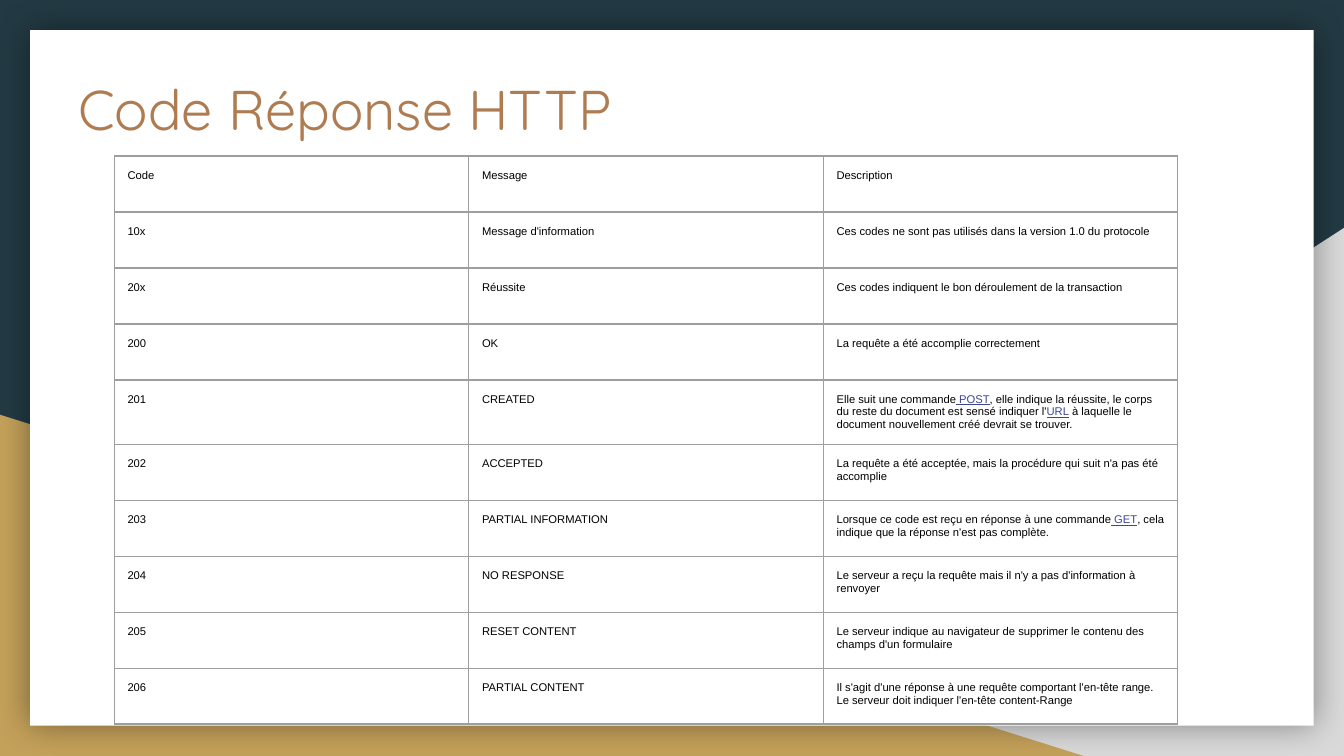
import dataclasses

import lxml.etree
import pptx
import pptx.dml.color
import pptx.enum.shapes
import pptx.enum.text
import pptx.oxml.ns
import pptx.util

Cm = pptx.util.Cm
Pt = pptx.util.Pt
qn = pptx.oxml.ns.qn


@dataclasses.dataclass(frozen=True)
class Theme:
    night: str = "233A44"
    grey: str = "D9D9D9"
    gold: str = "C4A15A"
    card: str = "FFFFFF"
    shade: str = "000000"
    title: str = "AF7B51"
    ink: str = "000000"
    link: str = "3D4594"
    rule: str = "9E9E9E"
    head_font: str = "Quicksand"
    cell_font: str = "Arial"
    head_size: float = 30
    cell_size: float = 6
    rule_width: float = 0.75


@dataclasses.dataclass(frozen=True)
class Box:
    left: float
    top: float
    width: float
    height: float

    def lengths(self):
        return [Cm(v) for v in (self.left, self.top, self.width, self.height)]


THEME = Theme()
PAGE = Box(0, 0, 25.4, 14.29)
INSET = 0.25

ROWS = [
    ("Code", "Message", ["Description"]),
    ("10x", "Message d'information",
     ["Ces codes ne sont pas utilisés dans la version 1.0 du protocole"]),
    ("20x", "Réussite", ["Ces codes indiquent le bon déroulement de la transaction"]),
    ("200", "OK", ["La requête a été accomplie correctement"]),
    ("201", "CREATED",
     ["Elle suit une commande", " POST",
      ", elle indique la réussite, le corps du reste du document est sensé indiquer l'",
      "URL", " à laquelle le document nouvellement créé devrait se trouver."]),
    ("202", "ACCEPTED",
     ["La requête a été acceptée, mais la procédure qui suit n'a pas été accomplie"]),
    ("203", "PARTIAL INFORMATION",
     ["Lorsque ce code est reçu en réponse à une commande", " GET",
      ", cela indique que la réponse n'est pas complète."]),
    ("204", "NO RESPONSE",
     ["Le serveur a reçu la requête mais il n'y a pas d'information à renvoyer"]),
    ("205", "RESET CONTENT",
     ["Le serveur indique au navigateur de supprimer le contenu des champs d'un formulaire"]),
    ("206", "PARTIAL CONTENT",
     ["Il s'agit d'une réponse à une requête comportant l'en-tête range. "
      "Le serveur doit indiquer l'en-tête content-Range"]),
]


def paint(fill, tone):
    fill.solid()
    fill.fore_color.rgb = pptx.dml.color.RGBColor.from_string(tone)


def add_run(para, text, font, size, tone, line=False):
    run = para.add_run()
    run.text = text
    run.font.name = font
    run.font.size = Pt(size)
    run.font.color.rgb = pptx.dml.color.RGBColor.from_string(tone)
    if line:
        run.font.underline = True


def add_form(slide, kind, box, tone):
    form = slide.shapes.add_shape(kind, *box.lengths())
    form.shadow.inherit = False
    paint(form.fill, tone)
    form.line.fill.background()
    return form


def add_glow(form, blur, tone, alpha):
    effects = form._element.spPr.find(qn("a:effectLst"))
    glow = lxml.etree.SubElement(
        effects, qn("a:outerShdw"), blurRad=str(Pt(blur)), dist="0",
        algn="ctr", rotWithShape="0")
    color = lxml.etree.SubElement(glow, qn("a:srgbClr"), val=tone)
    lxml.etree.SubElement(color, qn("a:alpha"), val=str(alpha * 1000))


def draw_back(slide, box):
    kinds = pptx.enum.shapes.MSO_SHAPE
    paint(slide.background.fill, THEME.night)
    right = box.left + box.width
    base = box.top + box.height
    wide, high = 15.44, 9.98
    wedge = add_form(slide, kinds.RIGHT_TRIANGLE,
                     Box(right - wide, base - high, wide, high), THEME.grey)
    wedge._element.spPr.xfrm.set("flipH", "1")
    wide, high = 20.48, 6.45
    add_form(slide, kinds.RIGHT_TRIANGLE,
             Box(box.left, base - high, wide, high), THEME.gold)
    edge = 0.57
    card = add_form(slide, kinds.RECTANGLE,
                    Box(box.left + edge, box.top + edge,
                        box.width - 2 * edge, box.height - 2 * edge), THEME.card)
    add_glow(card, 18, THEME.shade, 40)


def draw_title(slide, box, text):
    title = slide.shapes.title
    slide.shapes._spTree.append(title._element)
    title.left, title.top, title.width, title.height = box.lengths()
    frame = title.text_frame
    frame.margin_left = frame.margin_right = Cm(INSET)
    frame.margin_top = frame.margin_bottom = Cm(INSET)
    frame.vertical_anchor = pptx.enum.text.MSO_ANCHOR.TOP
    frame.auto_size = pptx.enum.text.MSO_AUTO_SIZE.NONE
    frame.word_wrap = True
    para = frame.paragraphs[0]
    para.alignment = pptx.enum.text.PP_ALIGN.LEFT
    add_run(para, text, THEME.head_font, THEME.head_size, THEME.title)


def add_rules(cell):
    props = cell._tc.get_or_add_tcPr()
    for side in ("lnL", "lnR", "lnT", "lnB"):
        rule = lxml.etree.SubElement(
            props, qn("a:" + side), w=str(Pt(THEME.rule_width)))
        fill = lxml.etree.SubElement(rule, qn("a:solidFill"))
        lxml.etree.SubElement(fill, qn("a:srgbClr"), val=THEME.rule)


def fill_cell(cell, parts):
    add_rules(cell)
    cell.fill.background()
    cell.margin_left = cell.margin_right = Cm(INSET)
    cell.margin_top = cell.margin_bottom = Cm(INSET)
    cell.vertical_anchor = pptx.enum.text.MSO_ANCHOR.TOP
    para = cell.text_frame.paragraphs[0]
    for i, part in enumerate(parts):
        link = i % 2 == 1
        add_run(para, part, THEME.cell_font, THEME.cell_size,
                THEME.link if link else THEME.ink, link)


def draw_table(slide, box, rows):
    table = slide.shapes.add_table(len(rows), len(rows[0]), *box.lengths()).table
    table.first_row = False
    table.horz_banding = False
    for r, (code, label, parts) in enumerate(rows):
        for c, texts in enumerate(([code], [label], parts)):
            fill_cell(table.cell(r, c), texts)


def main():
    deck = pptx.Presentation()
    deck.slide_width = Cm(PAGE.width)
    deck.slide_height = Cm(PAGE.height)
    slide = deck.slides.add_slide(deck.slide_layouts[5])
    draw_back(slide, PAGE)
    draw_title(slide, Box(1.23, 1.15, 20.86, 2.64), "Code Réponse HTTP")
    draw_table(slide, Box(2.16, 2.95, 20.1, 10.58), ROWS)
    deck.save("out.pptx")


if __name__ == "__main__":
    main()
